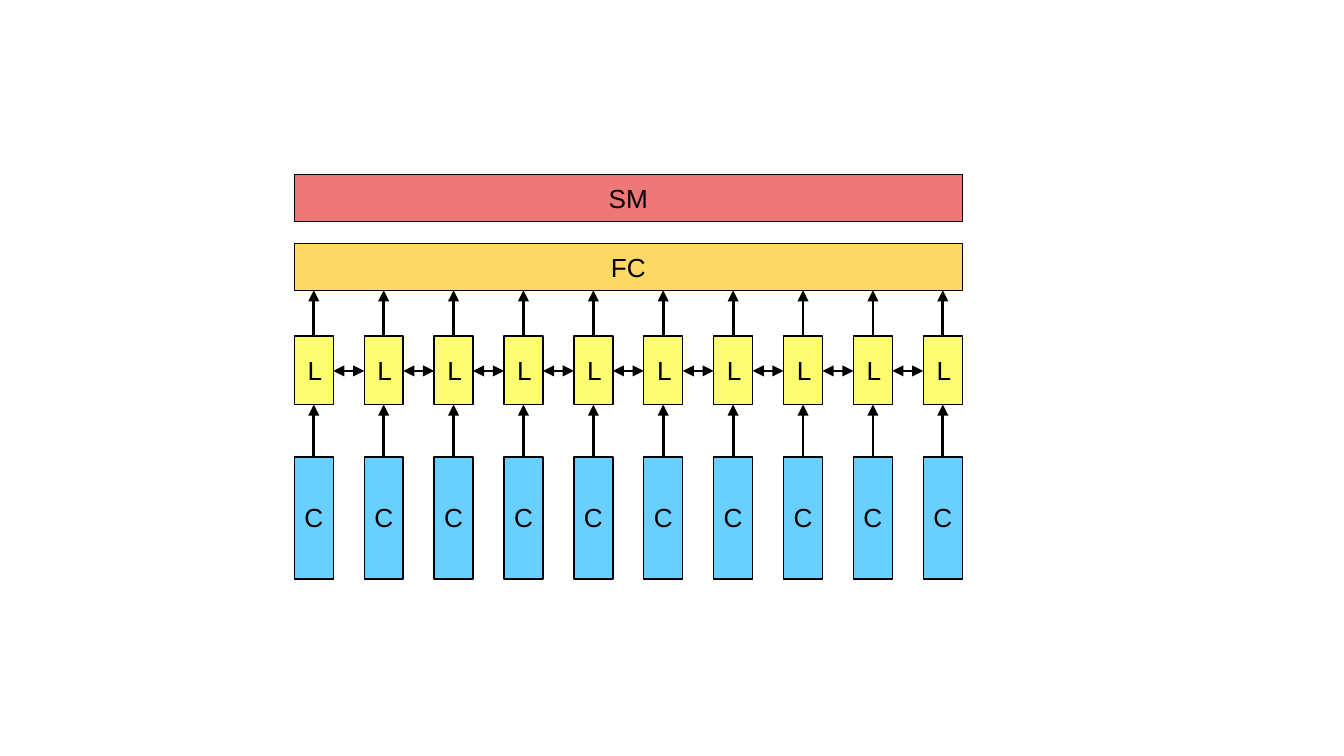
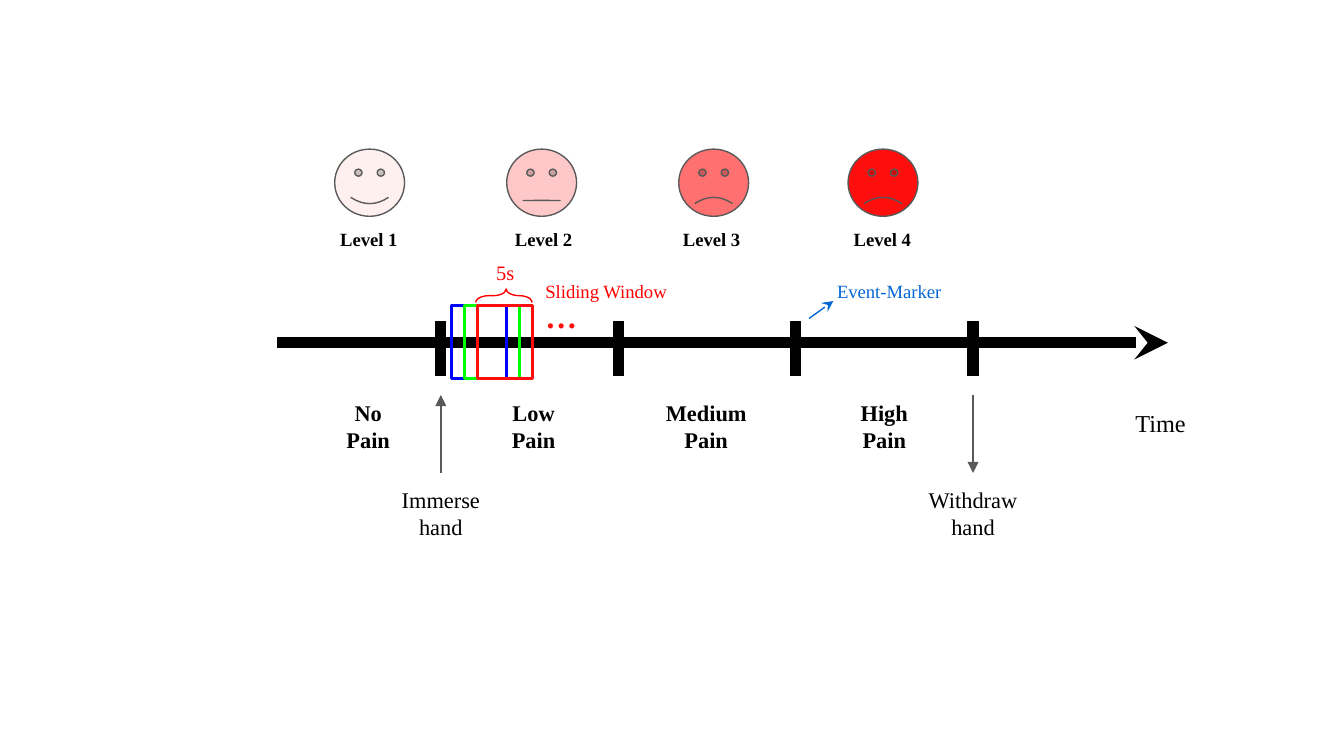
import pptx
import pptx.util
import pptx.dml.color
import pptx.enum.shapes
import pptx.enum.text
import lxml.etree

PX = 4572
RGBColor = pptx.dml.color.RGBColor
MSO_SHAPE = pptx.enum.shapes.MSO_SHAPE
PP_ALIGN = pptx.enum.text.PP_ALIGN
MSO_ANCHOR = pptx.enum.text.MSO_ANCHOR
A = "{http://schemas.openxmlformats.org/drawingml/2006/main}"

BLACK = RGBColor(0x00, 0x00, 0x00)
GRAY = RGBColor(0x59, 0x59, 0x59)
YELLOW = RGBColor(0xFC, 0xFC, 0x71)
SKY = RGBColor(0x69, 0xCF, 0xFF)
AMBER = RGBColor(0xFF, 0xD9, 0x66)
CORAL = RGBColor(0xEE, 0x78, 0x78)
BLUE = RGBColor(0x00, 0x00, 0xFF)
GREEN = RGBColor(0x00, 0xFF, 0x00)
RED = RGBColor(0xFF, 0x00, 0x00)
SCARLET = RGBColor(0xFF, 0x0E, 0x0E)
PALE_PINK = RGBColor(0xFF, 0xF0, 0xF0)
PINK = RGBColor(0xFF, 0xC8, 0xC8)
SALMON = RGBColor(0xFF, 0x70, 0x70)
MARKER_BLUE = RGBColor(0x03, 0x66, 0xD6)


def add_box(s, kind, x, y, w, h, fill=None, line=BLACK, weight=0.75, text="",
            font="Times New Roman", size=12, color=BLACK, bold=False,
            align=PP_ALIGN.CENTER):
    place = [v * PX for v in (x, y, w, h)]
    if kind is None:
        sp = s.shapes.add_textbox(*place)
    else:
        sp = s.shapes.add_shape(kind, *place)
        sp.shadow.inherit = False
        if fill is None:
            sp.fill.background()
        else:
            sp.fill.solid()
            sp.fill.fore_color.rgb = fill
        sp.line.color.rgb = line
        sp.line.width = pptx.util.Pt(weight)
    if text:
        tf = sp.text_frame
        tf.word_wrap = True
        tf.margin_left = tf.margin_right = tf.margin_top = tf.margin_bottom = 20 * PX
        tf.vertical_anchor = MSO_ANCHOR.TOP if kind is None else MSO_ANCHOR.MIDDLE
        tf.text = text
        for p in tf.paragraphs:
            p.alignment = align
            for r in p.runs:
                r.font.name = font
                r.font.size = pptx.util.Pt(size)
                r.font.bold = bold
                r.font.color.rgb = color
    return sp


def add_line(s, x1, y1, x2, y2, color=BLACK, weight=0.75, head=None, tail=None):
    c = s.shapes.add_connector(pptx.enum.shapes.MSO_CONNECTOR.STRAIGHT,
                               x1 * PX, y1 * PX, x2 * PX, y2 * PX)
    c.line.color.rgb = color
    c.line.width = pptx.util.Pt(weight)
    sp_pr = c.line._get_or_add_ln().getparent()
    for tag, end in (("headEnd", head), ("tailEnd", tail)):
        if end:
            lxml.etree.SubElement(sp_pr.find(A + "ln"), A + tag, type=end)
    lxml.etree.SubElement(sp_pr, A + "effectLst")


prs = pptx.Presentation()
prs.slide_width = 2000 * PX
prs.slide_height = 1125 * PX
blank = prs.slide_layouts[6]

s = prs.slides.add_slide(blank)
for text, y, fill in (("SM", 260, CORAL), ("FC", 362, AMBER)):
    add_box(s, MSO_SHAPE.RECTANGLE, 438, y, 994, 70, fill, text=text,
            font="Arial", size=14)
for i in range(10):
    x = 438 + 104 * i
    add_box(s, MSO_SHAPE.RECTANGLE, x, 500, 58, 102, YELLOW, text="L",
            font="Arial", size=14, align=PP_ALIGN.LEFT)
    add_box(s, MSO_SHAPE.RECTANGLE, x, 680, 58, 182, SKY)
    add_box(s, None, x - 23, 726, 104, 90, text="C", font="Arial", size=14)
    add_line(s, x + 29, 500, x + 29, 432, weight=1.5, tail="triangle")
    add_line(s, x + 29, 680, x + 29, 602, weight=1.5, tail="triangle")
    if i < 9:
        add_line(s, x + 58, 552, x + 104, 552, head="triangle", tail="triangle")

s = prs.slides.add_slide(blank)
add_line(s, 412, 510, 1738, 510, weight=6, tail="stealth")
for i in range(4):
    x = 656 + 264 * i
    add_line(s, x, 478, x, 560, weight=6)

levels = (
    (498, 462, PALE_PINK, 0.047),
    (754, 722, PINK, -0.001),
    (1010, 972, SALMON, -0.047),
    (1262, 1226, SCARLET, -0.047),
)
for number, (face_x, label_x, fill, smile) in enumerate(levels, 1):
    face = add_box(s, MSO_SHAPE.SMILEY_FACE, face_x, 222, 104, 100, fill, GRAY)
    face.adjustments[0] = smile
    add_box(s, None, label_x, 322, 174, 76, text=f"Level {number}", size=10, bold=True)

for text, x, w in (("No Pain", 488, 120), ("Low Pain", 734, 120),
                   ("Medium Pain", 970, 162), ("High Pain", 1256, 120)):
    add_box(s, None, x, 574, w, 100, text=text, bold=True)
add_box(s, None, 1670, 588, 140, 82, text="Time", size=13, align=PP_ALIGN.LEFT)

for text, x, start, end in (("Immerse\nhand", 656, 704, 588),
                            ("Withdraw\nhand", 1448, 588, 704)):
    add_line(s, x, start, x, end, GRAY, tail="triangle")
    add_box(s, None, x - 88, 704, 176, 84, text=text)

for i, color in enumerate((BLUE, GREEN, SCARLET)):
    add_box(s, MSO_SHAPE.RECTANGLE, 672 + 19 * i, 455, 82, 108, line=color, weight=1.5)

add_box(s, None, 792, 422, 162, 98, text="…", size=17, color=SCARLET, bold=True,
        align=PP_ALIGN.LEFT)
add_box(s, None, 792, 400, 446, 74, text="Sliding Window", size=10, color=RED,
        align=PP_ALIGN.LEFT)
add_line(s, 1204, 474, 1240, 448, MARKER_BLUE, tail="stealth")
add_box(s, None, 1226, 400, 314, 74, text="Event-Marker", size=10, color=MARKER_BLUE,
        align=PP_ALIGN.LEFT)
add_box(s, None, 710, 368, 84, 78, text="5s", size=11, color=RED)
brace = add_box(s, MSO_SHAPE.RIGHT_BRACE, 740, 398, 20, 84, line=RED)
brace.rotation = 270
brace.adjustments[0] = 1.48
brace.adjustments[1] = 0.54

prs.save("out.pptx")
